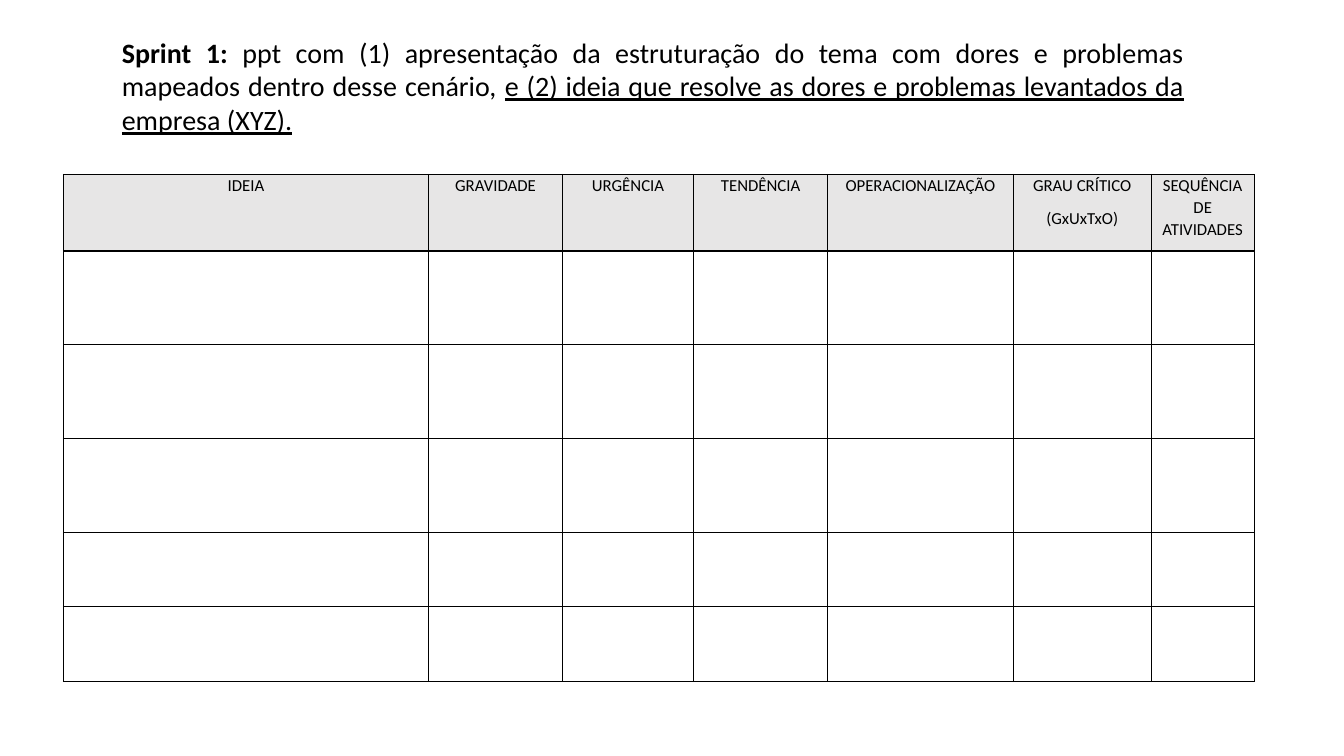
from lxml import etree
from pptx import Presentation
from pptx import util as u
from pptx.dml.color import RGBColor
from pptx.enum import text
from pptx.oxml import ns

BLACK = RGBColor(0x00, 0x00, 0x00)
HEADER_GRAY = RGBColor(0xE7, 0xE6, 0xE6)
FONT = "Calibri"

COLUMN_WIDTHS = [3.62, 1.33, 1.3, 1.33, 1.84, 1.37, 1.02]
ROW_HEIGHTS = [0.76] + [0.93] * 3 + [0.74] * 2
HEADERS = [
    "IDEIA",
    "GRAVIDADE",
    "URGÊNCIA",
    "TENDÊNCIA",
    "OPERACIONALIZAÇÃO",
    "GRAU CRÍTICO\n(GxUxTxO)",
    "SEQUÊNCIA DE ATIVIDADES",
]
HEADER_PARAGRAPH = {
    "alignment": text.PP_ALIGN.CENTER,
    "line_spacing": 1.07,
    "space_after": u.Pt(8),
}
CELL_MARGINS = {
    "margin_left": u.Inches(0.07),
    "margin_right": u.Inches(0.07),
    "margin_top": 0,
    "margin_bottom": 0,
}
BRIEF_RUNS = [
    ("Sprint 1: ", {"bold": True}),
    ("ppt com (1) apresentação da estruturação do tema com dores e problemas "
     "mapeados dentro desse cenário, ", {}),
    ("e (2) ideia que resolve as dores e problemas levantados da empresa (XYZ).",
     {"underline": True}),
]


def apply_format(target, values):
    for name, value in values.items():
        setattr(target, name, value)


def add_borders(cell):
    properties = cell._tc.get_or_add_tcPr()
    for position, side in enumerate(("a:lnL", "a:lnR", "a:lnT", "a:lnB")):
        line = etree.Element(ns.qn(side), w=str(u.Pt(1)))
        fill = etree.SubElement(line, ns.qn("a:solidFill"))
        etree.SubElement(fill, ns.qn("a:srgbClr"), val=str(BLACK))
        properties.insert(position, line)


presentation = Presentation()
presentation.slide_width = u.Inches(13.33)
presentation.slide_height = u.Inches(7.5)
slide = presentation.slides.add_slide(presentation.slide_layouts[6])

brief = slide.shapes.add_textbox(
    u.Inches(1.11), u.Inches(0.3), u.Inches(10.73), u.Inches(1.31)
)
brief.text_frame.word_wrap = True
brief.text_frame.auto_size = text.MSO_AUTO_SIZE.SHAPE_TO_FIT_TEXT
paragraph = brief.text_frame.paragraphs[0]
paragraph.alignment = text.PP_ALIGN.JUSTIFY
for wording, emphasis in BRIEF_RUNS:
    run = paragraph.add_run()
    run.text = wording
    apply_format(run.font, {"name": FONT, "size": u.Pt(20), **emphasis})
    run.font.color.rgb = BLACK

table = slide.shapes.add_table(
    len(ROW_HEIGHTS), len(COLUMN_WIDTHS),
    u.Inches(0.63), u.Inches(1.73),
    u.Inches(sum(COLUMN_WIDTHS)), u.Inches(sum(ROW_HEIGHTS)),
).table
table.horz_banding = False
table.first_row = False
for column, width in zip(table.columns, COLUMN_WIDTHS):
    column.width = u.Inches(width)
for row, height in zip(table.rows, ROW_HEIGHTS):
    row.height = u.Inches(height)
for cell in table.iter_cells():
    apply_format(cell, CELL_MARGINS)
    cell.fill.background()
    add_borders(cell)

for cell, header in zip(table.rows[0].cells, HEADERS):
    cell.text = header
    cell.fill.solid()
    cell.fill.fore_color.rgb = HEADER_GRAY
    for paragraph in cell.text_frame.paragraphs:
        apply_format(paragraph, HEADER_PARAGRAPH)
        font = paragraph.runs[0].font
        apply_format(font, {"name": FONT, "size": u.Pt(12), "bold": False})
        font.color.rgb = BLACK

presentation.save("out.pptx")
